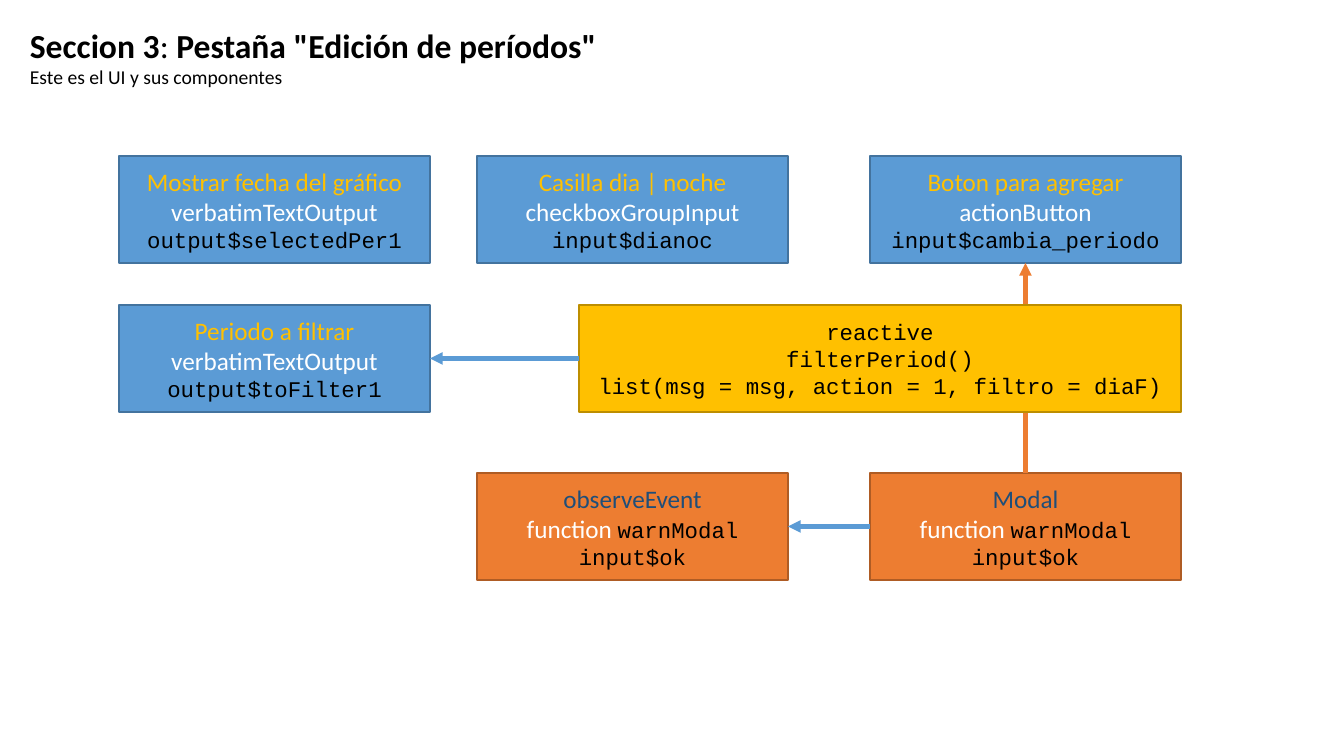
from dataclasses import dataclass

from pptx import Presentation, util as u
from pptx.dml.color import RGBColor
from pptx.enum import shapes, text
from pptx.oxml import parse_xml
from pptx.oxml.ns import nsdecls

SLIDE = (1344, 756)
HEADING_AREA = (20, 20, 1273, 75)
HEADING = [
    [("title", "Seccion 3"), ("title_colon", ": "), ("title", 'Pestaña "Edición de períodos"')],
    [("subtitle", "Este es el UI y sus componentes")],
]

COLUMNS = (119, 477, 870)
ROWS = (156, 305, 473)
BOX_WIDTH, BOX_HEIGHT = 311, 107
REACTIVE_LEFT = 579
TOP, LEFT, BOTTOM, RIGHT = range(4)


def component(caption, function, code):
    return [[("caption", caption)], [("function", function)], [("code", code)]]


def handler(caption):
    return [
        [("handler", caption)],
        [("function", "function "), ("code", "warnModal")],
        [("code", "input$ok")],
    ]


REACTIVE = [
    [("code", "reactive")],
    [("code", "filterPeriod()")],
    [("code", "list(msg = msg, action = 1, filtro = diaF)")],
]

LAYERS = [
    {
        "boxes": {
            "fecha": ("ui", 0, 0, component("Mostrar fecha del gráfico", "verbatimTextOutput", "output$selectedPer1")),
            "casilla": ("ui", 1, 0, component("Casilla dia | noche", "checkboxGroupInput", "input$dianoc")),
            "boton": ("ui", 2, 0, component("Boton para agregar", "actionButton", "input$cambia_periodo")),
            "periodo": ("ui", 0, 1, component("Periodo a filtrar", "verbatimTextOutput", "output$toFilter1")),
            "observe": ("event", 1, 2, handler("observeEvent")),
            "modal": ("event", 2, 2, handler("Modal")),
        },
        "links": [
            ("modal", TOP, "boton", BOTTOM, "event"),
            ("modal", LEFT, "observe", RIGHT, "ui"),
        ],
    },
    {
        "boxes": {"reactive": ("reactive", 2, 1, REACTIVE)},
        "links": [("reactive", LEFT, "periodo", RIGHT, "ui")],
    },
]


@dataclass(frozen=True)
class Theme:
    fills: dict
    outlines: dict
    fonts: dict
    outline_width: int = 1
    link_width: int = 3


THEME = Theme(
    fills={"ui": "5B9BD5", "event": "ED7D31", "reactive": "FFC000"},
    outlines={"ui": "43739E", "event": "AF5C24", "reactive": "BD8E00"},
    fonts={
        "title": ("Calibri", 24, "000000", True),
        "title_colon": ("Calibri", 24, "000000", False),
        "subtitle": ("Calibri", 14, "000000", False),
        "caption": ("Calibri", 18, "FFC000", False),
        "function": ("Calibri", 18, "FFFFFF", False),
        "handler": ("Calibri", 18, "1F4E79", False),
        "code": ("Courier New", 16, "000000", False),
    },
)


def px(length):
    return u.Emu(round(length * 914400 / 100.8))


def set_font(font, role):
    font.name, size, color, font.bold = THEME.fonts[role]
    font.size = u.Pt(size)
    font.color.rgb = RGBColor.from_string(color)


def write(frame, lines, alignment):
    frame.word_wrap = True
    for number, line in enumerate(lines):
        paragraph = frame.add_paragraph() if number else frame.paragraphs[0]
        paragraph.alignment = alignment
        uniform = len({role for role, _ in line}) == 1
        if uniform:
            set_font(paragraph.font, line[0][0])
        for role, words in line:
            run = paragraph.add_run()
            run.text = words
            if not uniform:
                set_font(run.font, role)


def draw_box(slide, kind, column, row, lines):
    right = COLUMNS[column] + BOX_WIDTH
    left = REACTIVE_LEFT if kind == "reactive" else COLUMNS[column]
    area = map(px, (left, ROWS[row], right - left, BOX_HEIGHT))
    box = slide.shapes.add_shape(shapes.MSO_SHAPE.RECTANGLE, *area)
    box.shadow.inherit = False
    box.fill.solid()
    box.fill.fore_color.rgb = RGBColor.from_string(THEME.fills[kind])
    box.line.color.rgb = RGBColor.from_string(THEME.outlines[kind])
    box.line.width = u.Pt(THEME.outline_width)
    box.text_frame.vertical_anchor = text.MSO_ANCHOR.MIDDLE
    write(box.text_frame, lines, text.PP_ALIGN.CENTER)
    return box


def draw_link(slide, source, source_side, target, target_side, kind):
    link = slide.shapes.add_connector(shapes.MSO_CONNECTOR.STRAIGHT, 0, 0, 0, 0)
    link.begin_connect(source, source_side)
    link.end_connect(target, target_side)
    link.line.color.rgb = RGBColor.from_string(THEME.fills[kind])
    link.line.width = u.Pt(THEME.link_width)
    link.line._get_or_add_ln().append(parse_xml(f'<a:tailEnd {nsdecls("a")} type="triangle"/>'))
    link._element.spPr.append(parse_xml(f'<a:effectLst {nsdecls("a")}/>'))


def main():
    deck = Presentation()
    deck.slide_width, deck.slide_height = map(px, SLIDE)
    slide = deck.slides.add_slide(deck.slide_layouts[6])
    heading = slide.shapes.add_textbox(*map(px, HEADING_AREA))
    write(heading.text_frame, HEADING, text.PP_ALIGN.LEFT)
    boxes = {}
    for layer in LAYERS:
        for key, box in layer["boxes"].items():
            boxes[key] = draw_box(slide, *box)
        for source, source_side, target, target_side, kind in layer["links"]:
            draw_link(slide, boxes[source], source_side, boxes[target], target_side, kind)
    deck.save("out.pptx")


if __name__ == "__main__":
    main()
